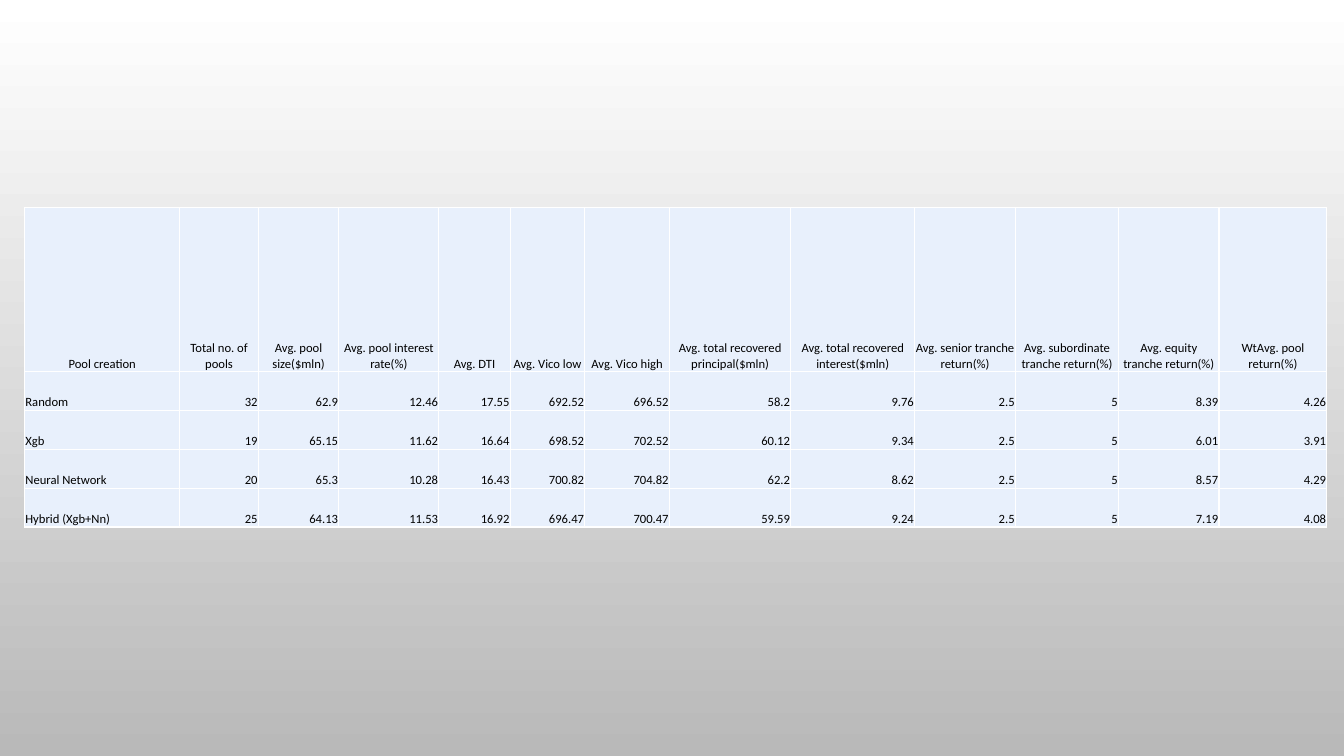
"""Build a slide with a table comparing loan pool creation methods."""
from dataclasses import dataclass

from lxml.etree import SubElement
from pptx import Presentation
from pptx.dml.color import RGBColor
from pptx.enum.text import MSO_ANCHOR as Anchor, PP_ALIGN as Align
from pptx.oxml.ns import qn
from pptx.slide import Slide
from pptx.table import _Cell as Cell
from pptx.util import Cm, Pt

BLACK = RGBColor(0x00, 0x00, 0x00)
WHITE = RGBColor(0xFF, 0xFF, 0xFF)
GREY = RGBColor(0xB9, 0xB9, 0xB9)
PALE_BLUE = RGBColor(0xE8, 0xF0, 0xFC)
HEADER_HEIGHT = 4.14
ROW_HEIGHT = 0.98


@dataclass(frozen=True)
class Column:
    heading: str
    width: float
    values: tuple[str, ...]
    align: Align = Align.RIGHT


COLUMNS = (
    Column("Pool creation", 3.91, ("Random", "Xgb", "Neural Network", "Hybrid (Xgb+Nn)"), Align.LEFT),
    Column("Total no. of pools", 1.98, ("32", "19", "20", "25")),
    Column("Avg. pool size($mln)", 2.03, ("62.9", "65.15", "65.3", "64.13")),
    Column("Avg. pool interest rate(%)", 2.52, ("12.46", "11.62", "10.28", "11.53")),
    Column("Avg. DTI", 1.8, ("17.55", "16.64", "16.43", "16.92")),
    Column("Avg. Vico low", 1.88, ("692.52", "698.52", "700.82", "696.47")),
    Column("Avg. Vico high", 2.13, ("696.52", "702.52", "704.82", "700.47")),
    Column("Avg. total recovered principal($mln)", 3.06, ("58.2", "60.12", "62.2", "59.59")),
    Column("Avg. total recovered interest($mln)", 3.12, ("9.76", "9.34", "8.62", "9.24")),
    Column("Avg. senior tranche return(%)", 2.54, ("2.5",) * 4),
    Column("Avg. subordinate tranche return(%)", 2.6, ("5",) * 4),
    Column("Avg. equity tranche return(%)", 2.53, ("8.39", "6.01", "8.57", "7.19")),
    Column("WtAvg. pool return(%)", 2.72, ("4.26", "3.91", "4.29", "4.08")),
)


def paint_background(page: Slide) -> None:
    """Fill the page with a gradient from white at the top to grey."""
    fill = page.background.fill
    fill.gradient()
    fill.gradient_angle = 270
    for stop, color, position in zip(fill.gradient_stops, (WHITE, GREY), (0, 1)):
        stop.color.rgb = color
        stop.position = position


def draw_borders(cell: Cell) -> None:
    """Give all four sides of a cell a thin white line."""
    properties = cell._tc.get_or_add_tcPr()
    for side in ("a:lnL", "a:lnR", "a:lnT", "a:lnB"):
        line = SubElement(properties, qn(side), w=str(Pt(1)))
        SubElement(SubElement(line, qn("a:solidFill")), qn("a:srgbClr"), val=str(WHITE))


def write_cell(cell: Cell, text: str, align: Align) -> None:
    """Write and format one cell of the table."""
    draw_borders(cell)
    cell.fill.solid()
    cell.fill.fore_color.rgb = PALE_BLUE
    cell.vertical_anchor = Anchor.BOTTOM
    cell.margin_left = cell.margin_right = cell.margin_top = Cm(0.02)
    cell.margin_bottom = Cm(0)
    cell.text_frame.text = text
    para = cell.text_frame.paragraphs[0]
    para.alignment = align
    font = para.runs[0].font
    font.name, font.size = "Calibri", Pt(9)
    font.color.rgb = BLACK


def add_pool_table(page: Slide) -> None:
    """Place the table of pool results on the page."""
    heights = [HEADER_HEIGHT] + [ROW_HEIGHT] * len(COLUMNS[0].values)
    width = sum(column.width for column in COLUMNS)
    table = page.shapes.add_table(
        len(heights), len(COLUMNS), Cm(0.62), Cm(5.22), Cm(width), Cm(sum(heights))
    ).table
    table.first_row = table.horz_banding = False
    for row, height in zip(table.rows, heights):
        row.height = Cm(height)
    for index, column in enumerate(COLUMNS):
        table.columns[index].width = Cm(column.width)
        write_cell(table.cell(0, index), column.heading, Align.CENTER)
        for number, value in enumerate(column.values, start=1):
            write_cell(table.cell(number, index), value, column.align)


def main() -> None:
    """Create the deck and save it."""
    deck = Presentation()
    deck.slide_width, deck.slide_height = Cm(33.87), Cm(19.05)
    page = deck.slides.add_slide(deck.slide_layouts[6])
    paint_background(page)
    add_pool_table(page)
    deck.save("out.pptx")


if __name__ == "__main__":
    main()
